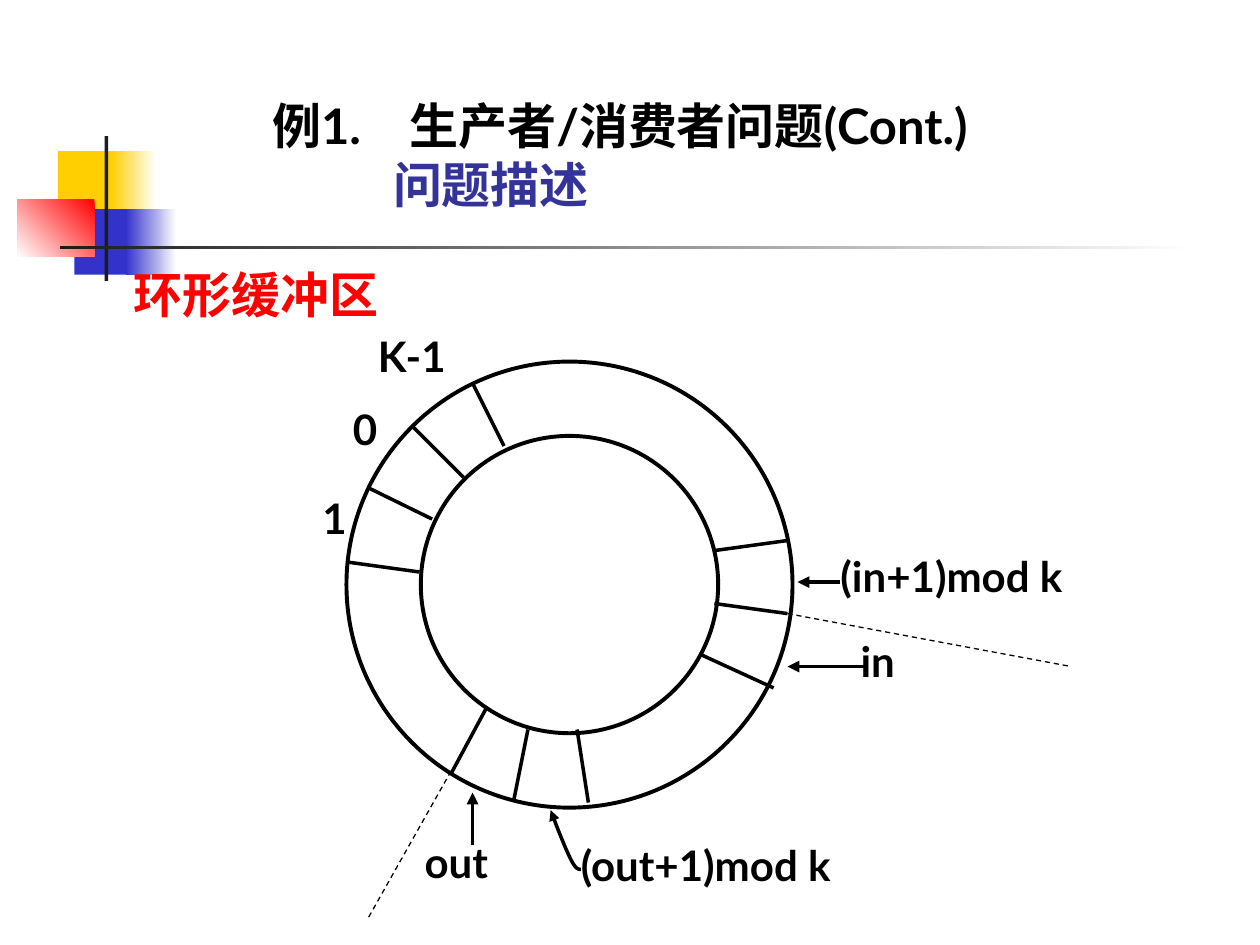
from lxml import etree
from pptx import Presentation
from pptx.dml.color import RGBColor
from pptx.enum.dml import MSO_LINE
from pptx.enum.shapes import MSO_CONNECTOR, MSO_SHAPE
from pptx.enum.text import MSO_ANCHOR, MSO_AUTO_SIZE, PP_ALIGN
from pptx.oxml.ns import qn
from pptx.util import Inches, Pt

RECT, OVAL = MSO_SHAPE.RECTANGLE, MSO_SHAPE.OVAL
STRAIGHT, DASH = MSO_CONNECTOR.STRAIGHT, MSO_LINE.DASH
LEFT, TOP, BOTTOM = PP_ALIGN.LEFT, MSO_ANCHOR.TOP, MSO_ANCHOR.BOTTOM
NO_FIT = MSO_AUTO_SIZE.NONE

FONT = "Lato"
COLORS = {
    "ink": "000000", "white": "FFFFFF", "red": "FF0000", "yellow": "FFCF01",
    "blue": "3333CC", "bar": "1C1C1C", "subtitle": "333399",
}

TITLE = ("环形缓冲区", (1.06, 2.1, 2.13, 0.47))
HEADING_BOX = (2.16, 0.29, 5.91, 1.4)
HEADING = ("例1.\t生产者/消费者问题(Cont.)", "问题描述")
HEADING_TAB, SUBTITLE_INDENT = 1.09, 0.96

ORNAMENTS = [
    ((0.46, 1.2, 0.48, 0.52), ("yellow",), 0),
    ((0.88, 1.2, 0.36, 0.52), ("white", "yellow"), 180),
    ((0.59, 1.66, 0.46, 0.52), ("blue",), 0),
    ((1, 1.66, 0.4, 0.52), ("white", "blue"), 180),
    ((0.14, 1.58, 0.61, 0.46), ("red", "white"), 225),
    ((0.83, 1.08, 0.03, 1.15), ("bar",), 0),
    ((0.48, 1.95, 9, 0.03), ("white", "bar"), 180),
]

RING_CENTER = (4.52, 4.64)
RING_RADII = (1.77, 1.18)
SLOT_EDGES = [
    (3.27, 3.38, 3.68, 3.79), (3.75, 3.04, 4, 3.54),
    (2.92, 3.87, 3.43, 4.12), (2.75, 4.46, 3.33, 4.54),
    (5.67, 4.79, 6.25, 4.87), (5.55, 5.19, 6.14, 5.46),
    (5.67, 4.37, 6.25, 4.29), (4.58, 5.79, 4.67, 6.37),
    (3.86, 5.62, 3.58, 6.14), (4.19, 5.79, 4.08, 6.34),
]
POINTERS = [
    (6.67, 4.62, 6.33, 4.62), (6.86, 5.29, 6.25, 5.29),
    (3.75, 6.71, 3.75, 6.29),
]
BOUNDARIES = [(6.25, 4.87, 8.5, 5.29), (3.58, 6.12, 2.92, 7.29)]
NEXT_OUT_CURVE = [
    ((4.61, 6.9), (4.59, 6.9), (4.57, 6.9), (4.53, 6.82)),
    ((4.53, 6.82), (4.49, 6.74), (4.43, 6.59), (4.37, 6.43)),
]
CURVE_STEPS = 8
LABELS = [
    ("1", (2.56, 3.91, 0.23, 0.4), 1),
    ("0", (2.8, 3.2, 0.21, 0.4), 1),
    ("K-1", (3, 2.62, 0.9, 0.4), 1),
    ("in", (6.83, 5.04, 0.45, 0.4), 1),
    ("(in+1)mod k", (6.67, 4.37, 2.35, 0.4), 1),
    ("out", (3.37, 6.64, 0.69, 0.4), 1),
    ("(out+1)mod k", (4.61, 6.74, 2.73, 0.32), 0.8),
]


def rgb(name):
    return RGBColor.from_string(COLORS[name])


def inches(values):
    return [Inches(value) for value in values]


def style_paragraph(paragraph, size, color):
    paragraph.alignment = LEFT
    font = paragraph.font
    font.name, font.size, font.bold = FONT, Pt(size), True
    font.color.rgb = rgb(color)


def prepare_frame(frame, anchor):
    frame.margin_left = frame.margin_right = 0
    frame.margin_top = frame.margin_bottom = 0
    frame.word_wrap = True
    frame.auto_size = NO_FIT
    frame.vertical_anchor = anchor


def add_arrowhead(line):
    etree.SubElement(line._get_or_add_ln(), qn("a:tailEnd"), type="triangle")


def add_ornament(slide, box, colors, angle):
    ornament = slide.shapes.add_shape(RECT, *inches(box))
    ornament.shadow.inherit = False
    ornament.line.fill.background()
    fill = ornament.fill
    if len(colors) == 1:
        fill.solid()
        fill.fore_color.rgb = rgb(colors[0])
        return
    fill.gradient()
    fill.gradient_angle = angle
    for stop, color in zip(fill.gradient_stops, colors):
        stop.color.rgb = rgb(color)


def add_circle(slide, radius):
    x, y = RING_CENTER
    box = (x - radius, y - radius, 2 * radius, 2 * radius)
    circle = slide.shapes.add_shape(OVAL, *inches(box))
    circle.shadow.inherit = False
    circle.fill.solid()
    circle.fill.fore_color.rgb = rgb("white")
    circle.line.color.rgb = rgb("ink")
    circle.line.width = Pt(2.25)


def add_line(slide, ends, width):
    connector = slide.shapes.add_connector(STRAIGHT, *inches(ends))
    connector.line.color.rgb = rgb("ink")
    connector.line.width = Pt(width)
    etree.SubElement(connector._element.spPr, qn("a:effectLst"))
    return connector.line


def bezier_point(curve, t):
    weights = ((1 - t) ** 3, 3 * t * (1 - t) ** 2, 3 * t * t * (1 - t), t ** 3)
    return tuple(sum(w * p[axis] for w, p in zip(weights, curve)) for axis in (0, 1))


def add_curved_pointer(slide):
    points = [bezier_point(curve, step / CURVE_STEPS)
              for curve in NEXT_OUT_CURVE for step in range(1, CURVE_STEPS + 1)]
    builder = slide.shapes.build_freeform(*inches(NEXT_OUT_CURVE[0][0]))
    builder.add_line_segments([inches(point) for point in points], close=False)
    pointer = builder.convert_to_shape()
    pointer.shadow.inherit = False
    pointer.fill.background()
    pointer.line.color.rgb = rgb("ink")
    pointer.line.width = Pt(2)
    add_arrowhead(pointer.line)


def add_title(slide):
    text, box = TITLE
    title = slide.shapes.title
    title.left, title.top, title.width, title.height = inches(box)
    prepare_frame(title.text_frame, BOTTOM)
    title.text_frame.text = text
    style_paragraph(title.text_frame.paragraphs[0], 28, "red")
    slide.shapes._spTree.append(title._element)


def add_heading(slide):
    frame = slide.shapes.add_textbox(*inches(HEADING_BOX)).text_frame
    prepare_frame(frame, BOTTOM)
    frame.text = "\n".join(HEADING)
    heading, subtitle = frame.paragraphs
    tabs = etree.SubElement(heading._p.get_or_add_pPr(), qn("a:tabLst"))
    etree.SubElement(tabs, qn("a:tab"), pos=str(Inches(HEADING_TAB)), algn="l")
    subtitle._p.get_or_add_pPr().set("marL", str(Inches(SUBTITLE_INDENT)))
    style_paragraph(heading, 28, "ink")
    style_paragraph(subtitle, 28, "subtitle")


def add_label(slide, text, box, spacing):
    frame = slide.shapes.add_textbox(*inches(box)).text_frame
    prepare_frame(frame, TOP)
    frame.text = text
    frame.paragraphs[0].line_spacing = spacing
    style_paragraph(frame.paragraphs[0], 24, "ink")


def main():
    deck = Presentation()
    deck.slide_width, deck.slide_height = inches((10, 7.5))
    slide = deck.slides.add_slide(deck.slide_layouts[5])
    for ornament in ORNAMENTS:
        add_ornament(slide, *ornament)
    add_title(slide)
    add_heading(slide)
    for radius in RING_RADII:
        add_circle(slide, radius)
    for edge in SLOT_EDGES:
        add_line(slide, edge, 2)
    for label in LABELS:
        add_label(slide, *label)
    for pointer in POINTERS:
        add_arrowhead(add_line(slide, pointer, 2.25))
    for boundary in BOUNDARIES:
        add_line(slide, boundary, 0.75).dash_style = DASH
    add_curved_pointer(slide)
    deck.save("out.pptx")


if __name__ == "__main__":
    main()
